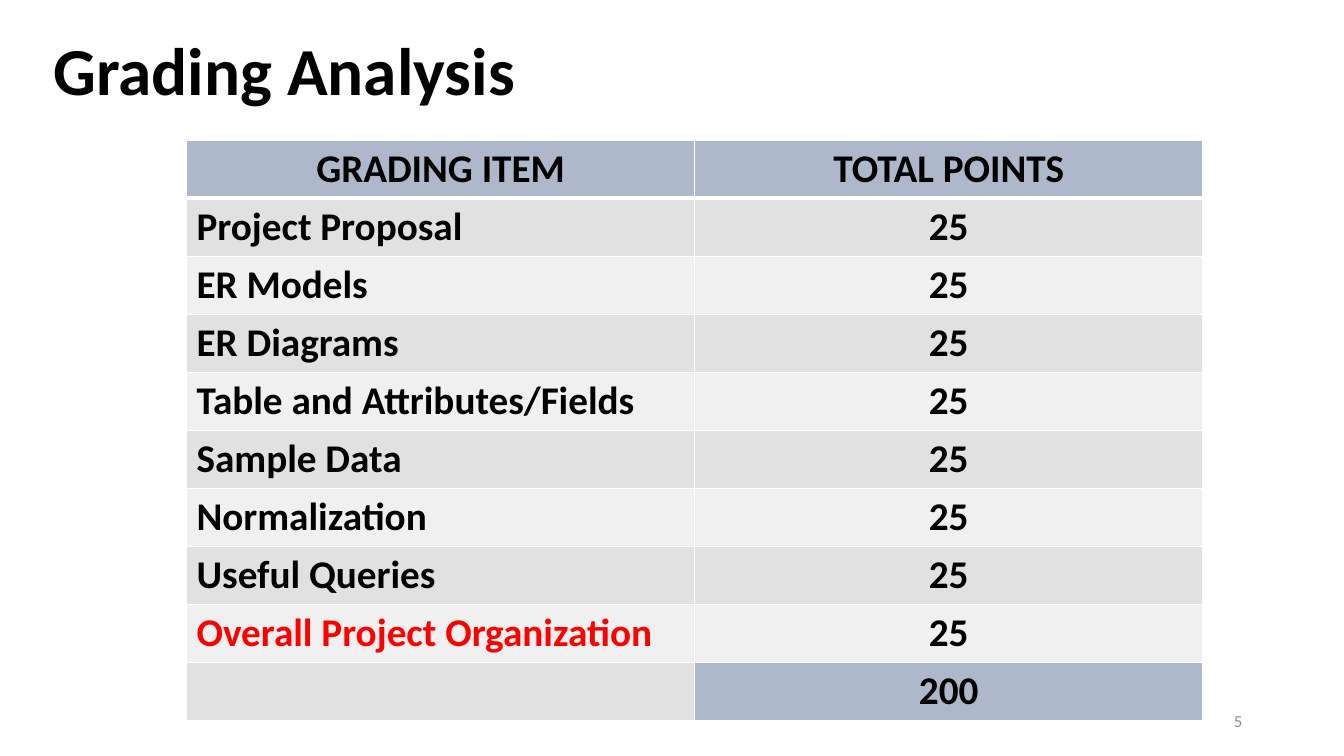
"""Build the grading slide: a title, a points table and a page number."""
from dataclasses import dataclass

from lxml.etree import SubElement
from pptx import Presentation
from pptx.dml.color import RGBColor
from pptx.enum.text import MSO_ANCHOR, MSO_AUTO_SIZE, PP_ALIGN
from pptx.oxml import parse_xml
from pptx.oxml.ns import nsdecls, qn
from pptx.util import Inches, Pt


@dataclass(frozen=True)
class Theme:
    font: str = "Calibri"
    ink: str = "000000"
    alert: str = "FF0000"
    muted: str = "8C8C8C"
    accent: str = "ADB9CA"
    dark: str = "E1E1E1"
    light: str = "F0F0F0"
    rule: str = "FFFFFF"
    title: int = 48
    body: int = 28
    small: int = 12
    thin: int = 1
    thick: int = 3


class Deck:
    """Hold the style and the current slide."""

    def __init__(self, theme):
        self.theme = theme
        self.file = Presentation()
        self.file.slide_width = Inches(13.33)
        self.file.slide_height = Inches(7.5)
        self.slide = self.file.slides.add_slide(self.file.slide_layouts[5])

    def add_text(self, frame, text, size, color, align, bold=True):
        para = frame.paragraphs[0]
        para.alignment = align
        run = para.add_run()
        run.text = text
        run.font.name = self.theme.font
        run.font.size = Pt(size)
        run.font.bold = bold
        run.font.color.rgb = RGBColor.from_string(color)

    def title(self, text, left, top, width, height):
        shape = self.slide.shapes.title
        shape.left, shape.top = Inches(left), Inches(top)
        shape.width, shape.height = Inches(width), Inches(height)
        frame = shape.text_frame
        frame.auto_size = MSO_AUTO_SIZE.NONE
        frame.vertical_anchor = MSO_ANCHOR.MIDDLE
        frame.paragraphs[0].line_spacing = 0.9
        self.add_text(frame, text, self.theme.title, self.theme.ink,
                      PP_ALIGN.LEFT)

    def label(self, text, left, top, width, height):
        box = self.slide.shapes.add_textbox(
            Inches(left), Inches(top), Inches(width), Inches(height))
        frame = box.text_frame
        frame.word_wrap = True
        frame.vertical_anchor = MSO_ANCHOR.MIDDLE
        self.add_text(frame, text, self.theme.small, self.theme.muted,
                      PP_ALIGN.RIGHT, bold=False)

    def border(self, cell, widths):
        props = cell._tc.get_or_add_tcPr()
        for spot, (side, width) in enumerate(widths.items()):
            line = parse_xml(f'<a:ln{side} {nsdecls("a")} w="{Pt(width)}"/>')
            fill = SubElement(line, qn("a:solidFill"))
            SubElement(fill, qn("a:srgbClr"), val=self.theme.rule)
            props.insert(spot, line)

    def cell(self, cell, text, fill, color, align, widths):
        cell.fill.solid()
        cell.fill.fore_color.rgb = RGBColor.from_string(fill)
        cell.vertical_anchor = MSO_ANCHOR.BOTTOM
        if text:
            self.add_text(cell.text_frame, text, self.theme.body, color, align)
        self.border(cell, widths)

    def table(self, rows, alert, left, top, width, height):
        look = self.theme
        grid = self.slide.shapes.add_table(
            len(rows), len(rows[0]), Inches(left), Inches(top),
            Inches(width), Inches(height)).table
        last = len(rows) - 1
        for row, texts in enumerate(rows):
            for col, text in enumerate(texts):
                head = row == 0
                total = row == last and col == 1
                band = look.dark if row % 2 else look.light
                fill = look.accent if head or total else band
                color = look.alert if text == alert else look.ink
                align = PP_ALIGN.CENTER if head or col else PP_ALIGN.LEFT
                widths = dict.fromkeys("LRTB", look.thin)
                if head:
                    widths["B"] = look.thick
                elif row == 1:
                    widths["T"] = look.thick
                self.cell(grid.cell(row, col), text, fill, color, align, widths)


items = ["Project Proposal", "ER Models", "ER Diagrams",
         "Table and Attributes/Fields", "Sample Data", "Normalization",
         "Useful Queries", "Overall Project Organization"]
points = 25
rows = [("GRADING ITEM", "TOTAL POINTS"),
        *((item, str(points)) for item in items),
        ("", str(points * len(items)))]

deck = Deck(Theme())
deck.title("Grading Analysis", 0.43, 0.27, 11.5, 0.92)
deck.table(rows, items[-1], 1.85, 1.39, 10.08, 5.7)
deck.label("5", 9.42, 6.95, 3, 0.4)
deck.file.save("out.pptx")
